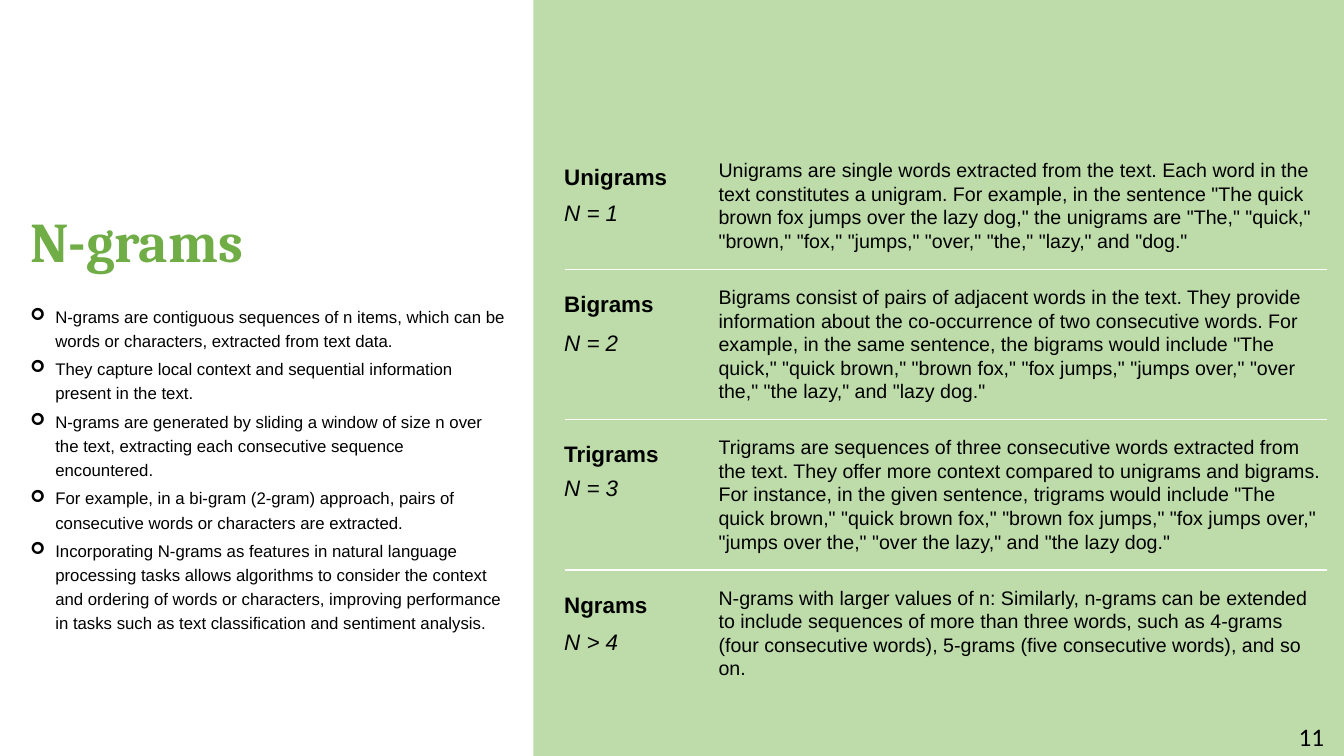
from lxml.etree import SubElement
from pptx import Presentation
from pptx.dml.color import RGBColor
from pptx.enum.shapes import MSO_CONNECTOR, MSO_SHAPE
from pptx.enum.text import MSO_ANCHOR, MSO_AUTO_SIZE, PP_ALIGN
from pptx.oxml.ns import qn
from pptx.util import Cm, Pt

WIDTH, HEIGHT = 33.87, 19.05
SPLIT = 13.44
LINE, GAP = 0.6, 0.79  # height of a text line, space between rows

POINTS = [
    "N-grams are contiguous sequences of n items, which can be words or characters, extracted from text data.",
    "They capture local context and sequential information present in the text.",
    "N-grams are generated by sliding a window of size n over the text, extracting each consecutive sequence encountered.",
    "For example, in a bi-gram (2-gram) approach, pairs of consecutive words or characters are extracted.",
    "Incorporating N-grams as features in natural language processing tasks allows algorithms to consider the context "
    "and ordering of words or characters, improving performance in tasks such as text classification and sentiment analysis.",
]

# Name, size, drop of the size below the name, lines of text, text
ROWS = [
    ("Unigrams", "N = 1", 0.91, 4,
     'Unigrams are single words extracted from the text. Each word in the text constitutes a unigram. '
     'For example, in the sentence "The quick brown fox jumps over the lazy dog," the unigrams are '
     '"The," "quick," "brown," "fox," "jumps," "over," "the," "lazy," and "dog."'),
    ("Bigrams", "N = 2", 0.99, 5,
     'Bigrams consist of pairs of adjacent words in the text. They provide information about the '
     'co-occurrence of two consecutive words. For example, in the same sentence, the bigrams would include '
     '"The quick," "quick brown," "brown fox," "fox jumps," "jumps over," "over the," "the lazy," and "lazy dog."'),
    ("Trigrams", "N = 3", 0.86, 5,
     'Trigrams are sequences of three consecutive words extracted from the text. They offer more context '
     'compared to unigrams and bigrams. For instance, in the given sentence, trigrams would include '
     '"The quick brown," "quick brown fox," "brown fox jumps," "fox jumps over," "jumps over the," '
     '"over the lazy," and "the lazy dog."'),
    ("Ngrams", "N > 4", 0.94, 4,
     'N-grams with larger values of n: Similarly, n-grams can be extended to include sequences of more than '
     'three words, such as 4-grams (four consecutive words), 5-grams (five consecutive words), and so on.'),
]


def paint(target, color):
    target.rgb = RGBColor.from_string(color)


def place(shape, x, y, w, h):
    shape.left, shape.top, shape.width, shape.height = Cm(x), Cm(y), Cm(w), Cm(h)


def add_run(para, text, size, font="Arial", color="000000", bold=False, italic=False):
    run = para.add_run()
    run.text = text
    run.font.name, run.font.size = font, Pt(size)
    run.font.bold, run.font.italic = bold, italic
    paint(run.font.color, color)


def add_text(slide, box, text, size, inset=True, **style):
    shape = slide.shapes.add_textbox(*map(Cm, box))
    frame = shape.text_frame
    frame.word_wrap = True
    if not inset:
        frame.margin_left = frame.margin_right = 0
        frame.margin_top = frame.margin_bottom = 0
    add_run(frame.paragraphs[0], text, size, **style)
    return frame


def add_bullet(para):
    props = para._p.get_or_add_pPr()
    props.set("marL", str(Cm(0.63)))
    props.set("indent", str(Cm(-0.63)))
    SubElement(props, qn("a:buFont"), typeface="Wingdings")
    SubElement(props, qn("a:buChar"), char="➢")


def add_rule(slide, x, y, w):
    rule = slide.shapes.add_connector(MSO_CONNECTOR.STRAIGHT, Cm(x), Cm(y), Cm(x + w), Cm(y))
    paint(rule.line.color, "FFFFFF")
    rule.line.width = Pt(1)
    SubElement(rule._element.spPr, qn("a:effectLst"))


def add_panel(slide, x, y, w, h):
    panel = slide.shapes.add_shape(MSO_SHAPE.RECTANGLE, Cm(x), Cm(y), Cm(w), Cm(h))
    panel.shadow.inherit = False
    panel.fill.solid()
    paint(panel.fill.fore_color, "A9D18E")
    panel.line.fill.background()
    tint = panel._element.spPr.find(qn("a:solidFill"))[0]
    SubElement(tint, qn("a:alpha"), val="76000")


def add_intro(slide, x, y, w, h):
    # Title
    title, body = slide.placeholders[0], slide.placeholders[1]
    head = 2.69
    place(title, x, y, w, head)
    title.text_frame.vertical_anchor = MSO_ANCHOR.MIDDLE
    title.text_frame.auto_size = MSO_AUTO_SIZE.NONE
    para = title.text_frame.paragraphs[0]
    para.alignment, para.line_spacing = PP_ALIGN.LEFT, 0.9
    add_run(para, "N-grams", 40, "Cambria", "70AD47", bold=True)

    # Bullet list
    place(body, x, y + head, w, h - head)
    frame = body.text_frame
    frame.auto_size = MSO_AUTO_SIZE.NONE
    for i, point in enumerate(POINTS):
        para = frame.add_paragraph() if i else frame.paragraphs[0]
        para.line_spacing = 1.2
        para.space_before, para.space_after = Pt(0), Pt(3)
        add_bullet(para)
        add_run(para, point, 12)


def add_rows(slide, x, y, w):
    inner, label = 4.14, 3.25
    for i, (name, size, drop, lines, text) in enumerate(ROWS):
        if i:
            add_rule(slide, x + 0.28, y - GAP / 2, w - 0.28)
        add_text(slide, (x, y, label, 0.94), name, 16, bold=True)
        add_text(slide, (x, y + drop, label, 0.94), size, 16, italic=True)
        add_text(slide, (x + inner, y, w - inner, lines * LINE), text, 14, inset=False)
        y += lines * LINE + GAP


def add_number(slide, x, y, w, h):
    frame = add_text(slide, (x, y, w, h), "11", 18, font="Calibri")
    frame.vertical_anchor = MSO_ANCHOR.MIDDLE
    frame.paragraphs[0].alignment = PP_ALIGN.CENTER


def main():
    deck = Presentation()
    deck.slide_width, deck.slide_height = Cm(WIDTH), Cm(HEIGHT)
    slide = deck.slides.add_slide(deck.slide_layouts[1])
    add_panel(slide, SPLIT, 0, WIDTH - SPLIT, HEIGHT)
    add_intro(slide, 0.51, 4.8, 12.5, 11.4)
    add_rows(slide, SPLIT + 0.53, 3.99, 19.48)
    add_number(slide, 32.23, 18.06, 1.64, 0.99)
    deck.save("out.pptx")


if __name__ == "__main__":
    main()
